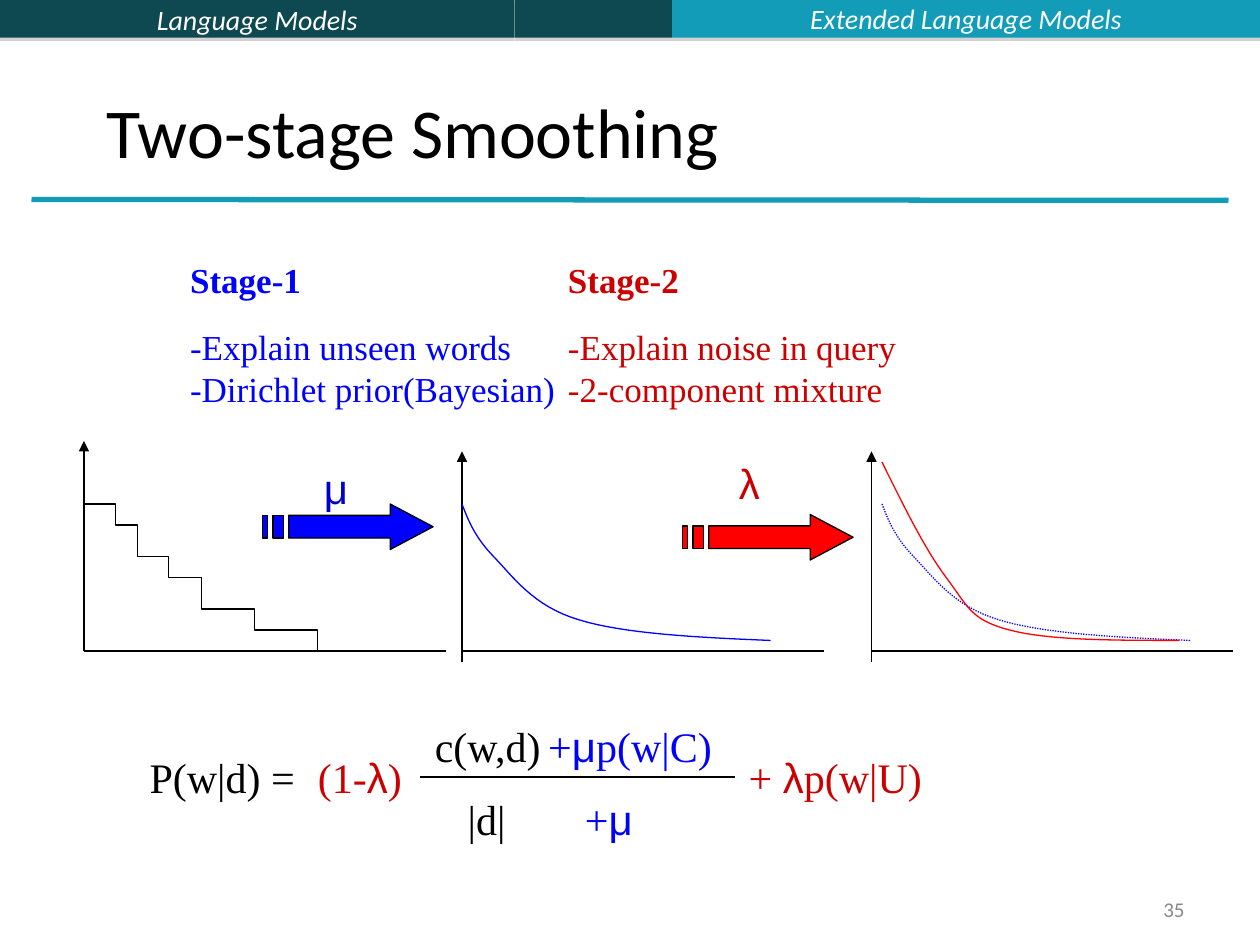
from lxml import etree
from pptx import Presentation
from pptx.dml.color import RGBColor
from pptx.enum.dml import MSO_LINE
from pptx.enum.shapes import MSO_CONNECTOR, MSO_SHAPE
from pptx.enum.text import MSO_ANCHOR, PP_ALIGN
from pptx.oxml import parse_xml
from pptx.oxml.ns import qn
from pptx.util import Pt

STRAIGHT = MSO_CONNECTOR.STRAIGHT
RECTANGLE = MSO_SHAPE.RECTANGLE
DOTTED = MSO_LINE.ROUND_DOT
LEFT, CENTER, RIGHT = PP_ALIGN.LEFT, PP_ALIGN.CENTER, PP_ALIGN.RIGHT
TOP, MIDDLE, BOTTOM = MSO_ANCHOR.TOP, MSO_ANCHOR.MIDDLE, MSO_ANCHOR.BOTTOM

COLORS = {name: RGBColor.from_string(value) for name, value in {
    "black": "000000", "white": "FFFFFF", "gray": "898989", "dark teal": "0E4851",
    "teal": "139CB7", "blue": "0000FF", "deep blue": "0000CC",
    "red": "FF0000", "dark red": "CC0000", "off white": "FBFCFF",
}.items()}
SERIF, GREEK, SANS = "Times New Roman", "Arial", "Calibri"
SHADOW = (
    '<a:outerShdw xmlns:a="http://schemas.openxmlformats.org/drawingml/2006/main" '
    'dist="22860" dir="5400000" rotWithShape="0"><a:srgbClr val="808080">'
    '<a:alpha val="35000"/></a:srgbClr></a:outerShdw>'
)

presentation = Presentation()
presentation.slide_width, presentation.slide_height = Pt(720), Pt(540)
slide = presentation.slides.add_slide(presentation.slide_layouts[6])
shapes = slide.shapes


def add_text(box, lines, size, color, font=SERIF, align=CENTER, anchor=TOP, wrap=False):
    """Add a text box; Greek letters are set in their own font."""
    text_box = shapes.add_textbox(*[Pt(length) for length in box])
    frame = text_box.text_frame
    frame.word_wrap = wrap
    frame.vertical_anchor = anchor
    for index, line in enumerate(lines):
        paragraph = frame.paragraphs[0] if index == 0 else frame.add_paragraph()
        paragraph.alignment = align
        paragraph.font.size = Pt(size)
        paragraph.font.name = font
        paragraph.font.color.rgb = COLORS[color]
        for letter in "μλ":
            line = line.replace(letter, f"\t{letter}\t")
        for part in filter(None, line.split("\t")):
            run = paragraph.add_run()
            run.text = part
            if part in "μλ":
                run.font.name = GREEK
    return frame.paragraphs


def add_line(start, end, color="black", width=0.75, arrow=False):
    connector = shapes.add_connector(STRAIGHT, *[Pt(length) for length in start + end])
    connector.line.color.rgb = COLORS[color]
    connector.line.width = Pt(width)
    properties = connector._element.spPr
    if arrow:
        etree.SubElement(connector.line._get_or_add_ln(), qn("a:tailEnd"), type="triangle")
    etree.SubElement(properties, qn("a:effectLst"))


# Header bars, title and page number
for left, width, color in [(0, 294, "dark teal"), (294, 90, "dark teal"), (384, 336, "teal")]:
    bar = shapes.add_shape(RECTANGLE, Pt(left), Pt(0), Pt(width), Pt(21.6))
    bar.fill.solid()
    bar.fill.fore_color.rgb = COLORS[color]
    bar.line.fill.background()
    bar.shadow.inherit = False
    bar._element.spPr.find(qn("a:effectLst")).append(parse_xml(SHADOW))

for box, label, color in [
    ((0, -2.5, 294, 26.6), "Language Models", "white"),
    ((384, -2.9, 336, 26.6), "Extended Language Models", "off white"),
]:
    add_text(box, [label], 16, color, SANS, anchor=MIDDLE, wrap=True)[0].font.italic = True

add_line((18, 114), (702, 114.5), "teal", 3)
add_text((54, 12, 612, 90), ["Two-stage Smoothing"], 40, "black", SANS, LEFT, BOTTOM, True)
add_text((516, 510, 168, 19.4), ["35"], 12, "gray", SANS, RIGHT, MIDDLE, True)

# Stage descriptions
for left, width, color, lines in [
    (101.5, 226, "blue", ["Stage-1", "-Explain unseen words", "-Dirichlet prior(Bayesian)"]),
    (317.5, 205, "dark red", ["Stage-2", "-Explain noise in query", "-2-component mixture"]),
]:
    paragraphs = add_text((left, 144, width, 93.6), lines, 20, color, align=LEFT)
    paragraphs[0].font.bold = True
    paragraphs[1].space_before = Pt(14.4)

# Axes of the three plots
for left, top, bottom in [(48, 252, 372), (264, 258, 378), (498, 258, 378)]:
    add_line((left, 372), (left + 206.6, 372))
    add_line((left, bottom), (left, top), arrow=True)

# Staircase: each step goes across, then down
steps = [(66, 300), (78.5, 318), (96.5, 330), (115, 348), (145.5, 360), (181.5, 372)]
staircase = [(48, 288)]
for right, lower in steps:
    staircase += [(right, staircase[-1][1]), (right, lower)]
staircase.append((212, 372))

# Curves: a start point, then Bezier segments of two controls and an end
smooth = [(0, 288), (3.6, 297.4), (7.2, 306.7), (18, 318), (28.8, 329), (40.3, 346.3),
          (66.8, 354.2), (92.9, 362.2), (134.6, 364.3), (176.4, 366)]
mixed = [(0, 264), (12.2, 288.7), (24.5, 313.9), (36.7, 330), (49, 346.3), (50.4, 354.2),
         (72.7, 360), (95, 366), (132.5, 366), (169.9, 366)]
outlines = [(staircase, "black", False)]
for left, controls, color, dotted in [
    (264, smooth, "blue", False), (504, smooth, "blue", True), (504, mixed, "red", False),
]:
    points = [(left, controls[0][1])]
    for first in range(0, len(controls) - 1, 3):
        segment = controls[first:first + 4]
        for step in range(1, 17):
            t = step / 16
            weights = ((1 - t) ** 3, 3 * t * (1 - t) ** 2, 3 * t * t * (1 - t), t ** 3)
            x, y = (sum(w * point[axis] for w, point in zip(weights, segment))
                    for axis in (0, 1))
            points.append((left + x, y))
    outlines.append((points, color, dotted))

for points, color, dotted in outlines:
    points = [(Pt(x), Pt(y)) for x, y in points]
    builder = shapes.build_freeform(*points[0])
    builder.add_line_segments(points[1:], close=False)
    outline = builder.convert_to_shape()
    outline.fill.background()
    outline.line.color.rgb = COLORS[color]
    outline.line.width = Pt(0.75)
    outline.shadow.inherit = False
    if dotted:
        outline.line.dash_style = DOTTED

# Striped arrows between the plots
arrow_parts = [
    [(73, 0), (73, 6.5), (15, 6.5), (15, 19.5), (73, 19.5), (73, 26), (97.5, 13)],
    [(6, 6.5), (6, 19.5), (12, 19.5), (12, 6.5)],
    [(0, 6.5), (0, 19.5), (3, 19.5), (3, 6.5)],
]
for left, top, color in [(150, 288, "blue"), (390, 294, "red")]:
    builder = None
    for part in arrow_parts:
        points = [(Pt(left + x), Pt(top + y)) for x, y in part]
        if builder is None:
            builder = shapes.build_freeform(*points[0])
        else:
            builder.move_to(*points[0])
        builder.add_line_segments(points[1:], close=True)
    arrow = builder.convert_to_shape()
    arrow.fill.solid()
    arrow.fill.fore_color.rgb = COLORS[color]
    arrow.line.color.rgb = COLORS["black"]
    arrow.line.width = Pt(0.75)
    arrow.shadow.inherit = False

# Arrow labels and formula
add_line((240, 444), (420, 444))
for left, top, width, label, color in [
    (178, 260.6, 28, "μ", "deep blue"),
    (414.5, 258, 27.4, "λ", "dark red"),
    (74.5, 426, 105, "P(w|d) =", "black"),
    (172, 426, 67.4, "(1-λ)", "dark red"),
    (238.5, 408, 80.3, "c(w,d)", "black"),
    (304, 408, 112, "+μp(w|C)", "blue"),
    (258, 450, 40, "|d|", "black"),
    (325, 450, 45.8, "+μ", "blue"),
    (417, 426, 120.5, "+ λp(w|U)", "dark red"),
]:
    add_text((left, top, width, 36), [label], 24, color)

presentation.save("out.pptx")
